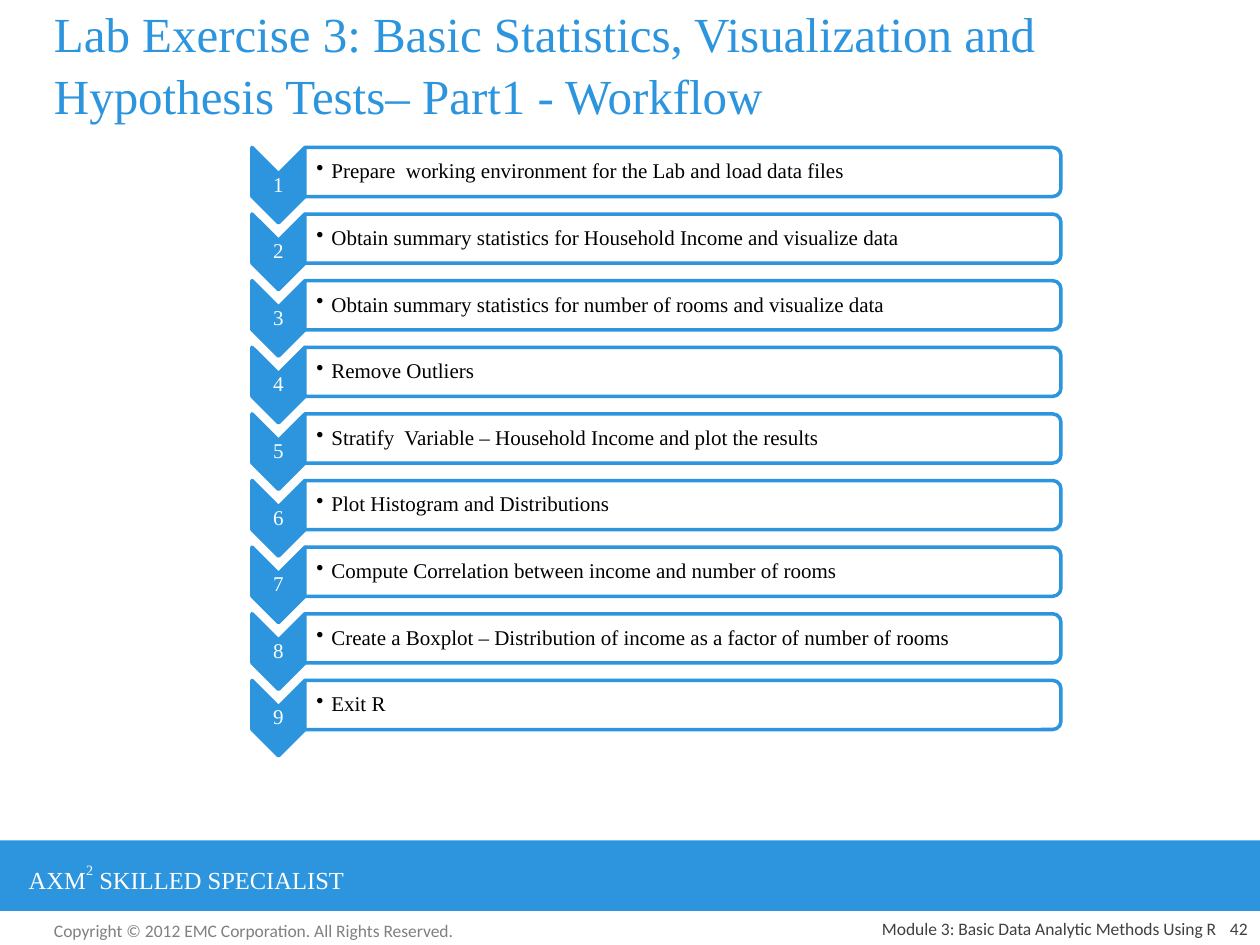
from dataclasses import dataclass

from lxml import etree
from pptx import Presentation
from pptx.dml.color import RGBColor
from pptx.enum.shapes import MSO_SHAPE
from pptx.enum.text import MSO_ANCHOR, PP_ALIGN
from pptx.oxml.ns import qn
from pptx.slide import Slide
from pptx.util import Inches, Pt

RECTANGLE = MSO_SHAPE.RECTANGLE
CHEVRON = MSO_SHAPE.CHEVRON
ROUNDED_BAR = MSO_SHAPE.ROUND_2_SAME_RECTANGLE
TOP, MIDDLE, BOTTOM = MSO_ANCHOR.TOP, MSO_ANCHOR.MIDDLE, MSO_ANCHOR.BOTTOM
LEFT, CENTER, RIGHT = PP_ALIGN.LEFT, PP_ALIGN.CENTER, PP_ALIGN.RIGHT

BLUE = RGBColor(0x2C, 0x95, 0xDD)
WHITE = RGBColor(0xFF, 0xFF, 0xFF)
BLACK = RGBColor(0, 0, 0)
GRAY = RGBColor(0x80, 0x80, 0x80)
DARK_GRAY = RGBColor(0x40, 0x40, 0x40)

STEPS = [
    "Prepare  working environment for the Lab and load data files",
    "Obtain summary statistics for Household Income and visualize data",
    "Obtain summary statistics for number of rooms and visualize data",
    "Remove Outliers",
    "Stratify  Variable – Household Income and plot the results",
    "Plot Histogram and Distributions",
    "Compute Correlation between income and number of rooms",
    "Create a Boxplot – Distribution of income as a factor of number of rooms",
    "Exit R",
]
FIRST_TOP = 1.17
STEP_PITCH = 4.23 / 8


@dataclass
class WorkflowSlide:
    slide: Slide
    serif: str = "Times New Roman"
    sans: str = "Calibri"
    outline: float = 2

    def shape(self, kind, left, top, width, height, fill, outlined=False):
        shape = self.slide.shapes.add_shape(
            kind, Inches(left), Inches(top), Inches(width), Inches(height))
        shape.shadow.inherit = False
        shape.fill.solid()
        shape.fill.fore_color.rgb = fill
        if outlined:
            shape.line.color.rgb = BLUE
            shape.line.width = Pt(self.outline)
        else:
            shape.line.fill.background()
        return shape

    def turned_shape(self, kind, left, top, width, height, fill):
        shift = (width - height) / 2
        shape = self.shape(kind, left + shift, top - shift, height, width, fill, True)
        shape.rotation = 90
        return shape

    def text(self, runs, left, top, width, height, size, color, font,
             align=LEFT, anchor=TOP, insets=(0.1, 0.05, 0.1, 0.05),
             line_spacing=None, bullet=False):
        box = self.slide.shapes.add_textbox(
            Inches(left), Inches(top), Inches(width), Inches(height))
        frame = box.text_frame
        frame.word_wrap = True
        frame.vertical_anchor = anchor
        (frame.margin_left, frame.margin_top,
         frame.margin_right, frame.margin_bottom) = map(Inches, insets)
        paragraph = frame.paragraphs[0]
        paragraph.alignment = align
        if line_spacing:
            paragraph.line_spacing = line_spacing
        if bullet:
            properties = paragraph._p.get_or_add_pPr()
            properties.set("marL", str(Inches(0.12)))
            properties.set("indent", str(Inches(-0.12)))
            etree.SubElement(properties, qn("a:buChar")).set("char", "•")
        paragraph.font.size = Pt(size)
        paragraph.font.name = font
        paragraph.font.color.rgb = color
        for content, baseline in runs:
            run = paragraph.add_run()
            run.text = content
            if baseline:
                run._r.get_or_add_rPr().set("baseline", str(baseline * 1000))

    def title(self, content):
        self.text([(content, 0)], 0.33, 0.08, 9.25, 0.83, 28, BLUE, self.serif,
                  anchor=MIDDLE, line_spacing=1.05)

    def step(self, number, content):
        top = FIRST_TOP + (number - 1) * STEP_PITCH
        self.turned_shape(CHEVRON, 2, top, 0.42, 0.6, BLUE)
        self.text([(str(number), 0)], 2, top + 0.21, 0.42, 0.18, 12, WHITE, self.serif,
                  CENTER, MIDDLE, (0.01, 0.01, 0.01, 0.01), 0.9)
        self.turned_shape(ROUNDED_BAR, 2.42, top, 6, 0.39, WHITE)
        self.text([(content, 0)], 2.42, top + 0.02, 5.98, 0.35, 12, BLACK, self.serif,
                  LEFT, MIDDLE, (0.09, 0.01, 0.01, 0.01), 0.9, True)

    def footer(self):
        self.text([("Copyright © 2012 EMC Corporation. All Rights Reserved.", 0)],
                  0.33, 7.25, 3.42, 0.27, 10, GRAY, self.sans)
        self.shape(RECTANGLE, 0, 6.67, 10, 0.56, BLUE)
        self.text([("AXM", 0), ("2", 56), (" SKILLED SPECIALIST", 0)],
                  0.13, 6.79, 3.7, 0.34, 14, WHITE, self.serif)
        for content, left, width in (
                ("Module 3: Basic Data Analytic Methods Using R", 5.17, 4.58),
                ("42", 9.5, 0.5)):
            self.text([(content, 0)], left, 7.25, width, 0.25, 10, DARK_GRAY,
                      self.sans, RIGHT, BOTTOM)


def main():
    presentation = Presentation()
    presentation.slide_width = Inches(10)
    presentation.slide_height = Inches(7.5)
    workflow = WorkflowSlide(presentation.slides.add_slide(presentation.slide_layouts[6]))
    workflow.footer()
    workflow.title("Lab Exercise 3: Basic Statistics, Visualization and "
                   "Hypothesis Tests– Part1 - Workflow")
    for number, content in enumerate(STEPS, 1):
        workflow.step(number, content)
    presentation.save("out.pptx")


if __name__ == "__main__":
    main()
